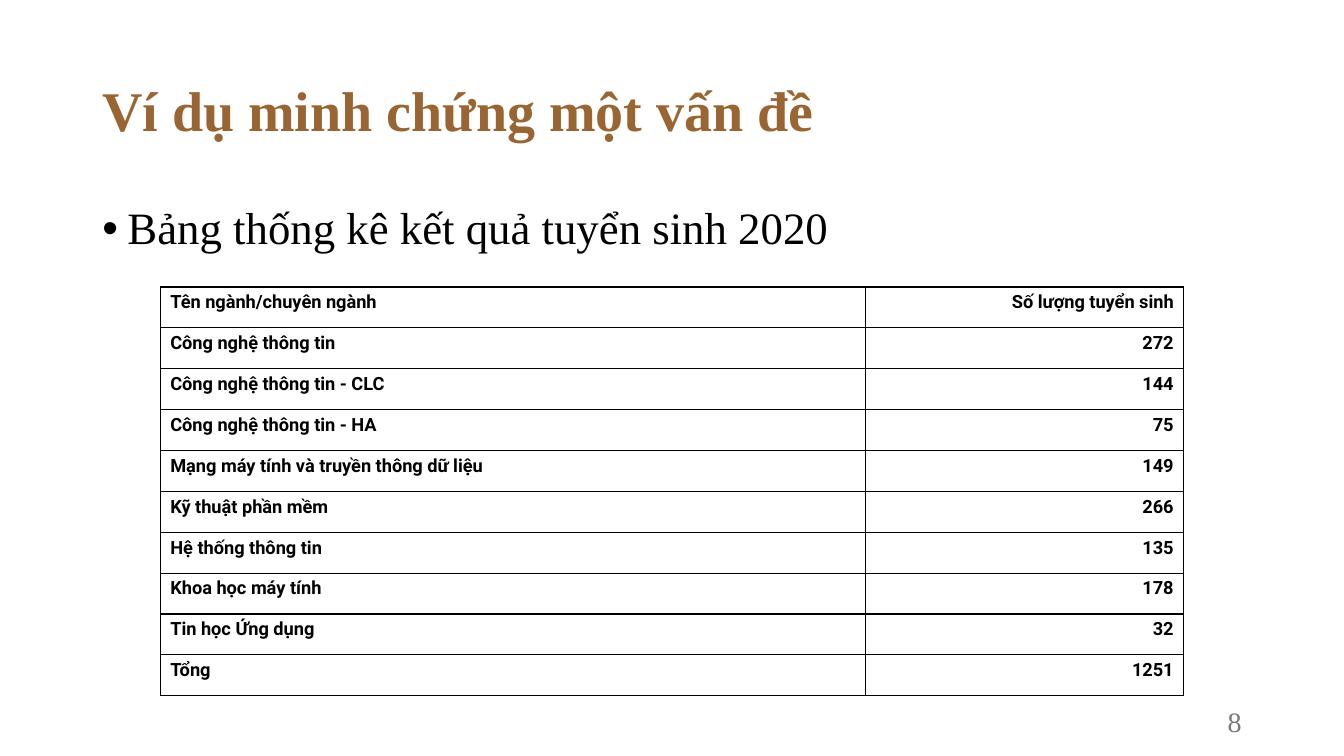
from dataclasses import dataclass

import pptx
import pptx.dml.color
import pptx.enum.text
import pptx.oxml
import pptx.oxml.ns
import pptx.util
from lxml import etree

Pt = pptx.util.Pt
ALIGN = pptx.enum.text.PP_ALIGN
ANCHOR = pptx.enum.text.MSO_ANCHOR
qn = pptx.oxml.ns.qn


@dataclass(frozen=True)
class Theme:
    serif: str = "Times New Roman"
    sans: str = "Roboto"
    title: str = "996633"
    ink: str = "000000"
    muted: str = "797979"
    paper: str = "FFFFFF"
    title_size: int = 40
    body_size: int = 32
    number_size: int = 20
    cell_size: int = 13


THEME = Theme()

ADMISSIONS = [
    ("Tên ngành/chuyên ngành", "Số lượng tuyển sinh"),
    ("Công nghệ thông tin", "272"),
    ("Công nghệ thông tin - CLC", "144"),
    ("Công nghệ thông tin - HA", "75"),
    ("Mạng máy tính và truyền thông dữ liệu", "149"),
    ("Kỹ thuật phần mềm", "266"),
    ("Hệ thống thông tin", "135"),
    ("Khoa học máy tính", "178"),
    ("Tin học Ứng dụng", "32"),
    ("Tổng", "1251"),
]


def rgb(color):
    return pptx.dml.color.RGBColor.from_string(color)


def write(tf, text, *, size, color=THEME.ink, font=THEME.serif, bold=False,
          align=ALIGN.LEFT, spacing=None, before=None):
    p = tf.paragraphs[0]
    p.alignment = align
    if spacing is not None:
        p.line_spacing = spacing
    if before is not None:
        p.space_before = Pt(before)
    r = p.add_run()
    r.text = text
    r.font.size = Pt(size)
    r.font.name = font
    r.font.bold = bold
    r.font.color.rgb = rgb(color)
    return p


def add_text_frame(slide, box, anchor):
    tf = slide.shapes.add_textbox(*map(Pt, box)).text_frame
    tf.word_wrap = True
    tf.vertical_anchor = anchor
    return tf


def add_bullet(p, indent):
    pPr = p._p.get_or_add_pPr()
    pPr.set("marL", str(Pt(indent)))
    pPr.set("indent", str(-Pt(indent)))
    etree.SubElement(pPr, qn("a:buFont"), typeface="Arial")
    etree.SubElement(pPr, qn("a:buChar"), char="•")


def add_borders(cell, color, width):
    tcPr = cell._tc.get_or_add_tcPr()
    for i, side in enumerate(("lnL", "lnR", "lnT", "lnB")):
        ln = etree.Element(qn(f"a:{side}"), w=str(Pt(width)))
        fill = etree.SubElement(ln, qn("a:solidFill"))
        etree.SubElement(fill, qn("a:srgbClr"), val=color)
        tcPr.insert(i, ln)  # borders precede the fill in the schema


def title(slide, box, text):
    tf = add_text_frame(slide, box, ANCHOR.MIDDLE)
    write(tf, text, size=THEME.title_size, color=THEME.title, bold=True, spacing=0.9)


def body(slide, box, text):
    tf = add_text_frame(slide, box, ANCHOR.TOP)
    p = write(tf, text, size=THEME.body_size, spacing=0.9, before=10)
    add_bullet(p, 18)


def admissions_table(slide, box, rows, name_width):
    left, top, width, height = box
    table = slide.shapes.add_table(len(rows), 2, *map(Pt, box)).table
    table.first_row = table.horz_banding = False
    table.columns[0].width = Pt(name_width)
    table.columns[1].width = Pt(width - name_width)
    for i, row in enumerate(rows):
        table.rows[i].height = Pt(height / len(rows))
        for j, (text, align) in enumerate(zip(row, (ALIGN.LEFT, ALIGN.RIGHT))):
            cell = table.cell(i, j)
            cell.fill.solid()
            cell.fill.fore_color.rgb = rgb(THEME.paper)
            add_borders(cell, THEME.ink, 1)
            write(cell.text_frame, text, size=THEME.cell_size, font=THEME.sans,
                  bold=True, align=align)


def slide_number(slide, box, text):
    tf = add_text_frame(slide, box, ANCHOR.MIDDLE)
    write(tf, text, size=THEME.number_size, color=THEME.muted, align=ALIGN.RIGHT)


def main():
    prs = pptx.Presentation()
    prs.slide_width, prs.slide_height = Pt(960), Pt(540)
    slide = prs.slides.add_slide(prs.slide_layouts[6])
    slide.background.fill.solid()
    slide.background.fill.fore_color.rgb = rgb(THEME.paper)
    title(slide, (66, 28.75, 828, 104.4), "Ví dụ minh chứng một vấn đề")
    body(slide, (66, 143.75, 828, 342.6), "Bảng thống kê kết quả tuyển sinh 2020")
    admissions_table(slide, (114.5, 205, 731, 292), ADMISSIONS, 504)
    slide_number(slide, (678, 500.5, 216, 28.75), "8")
    prs.save("out.pptx")


if __name__ == "__main__":
    main()
